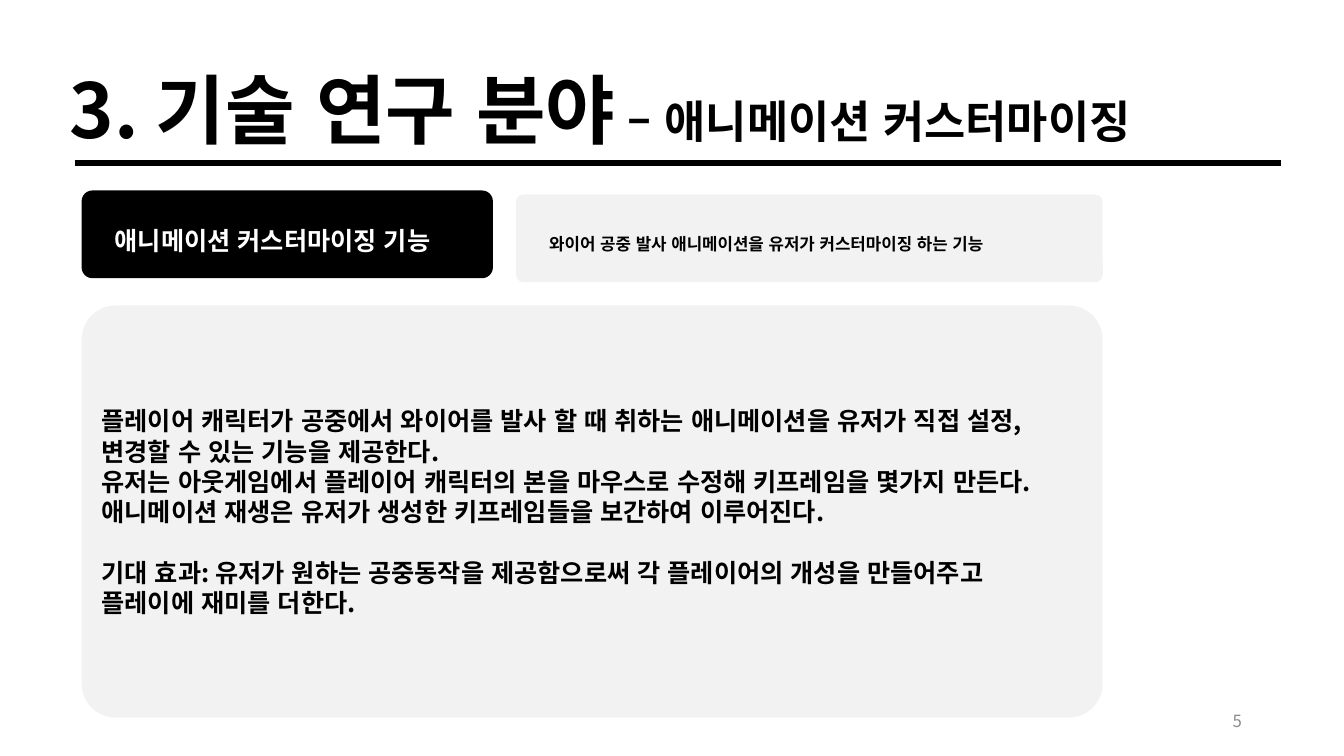
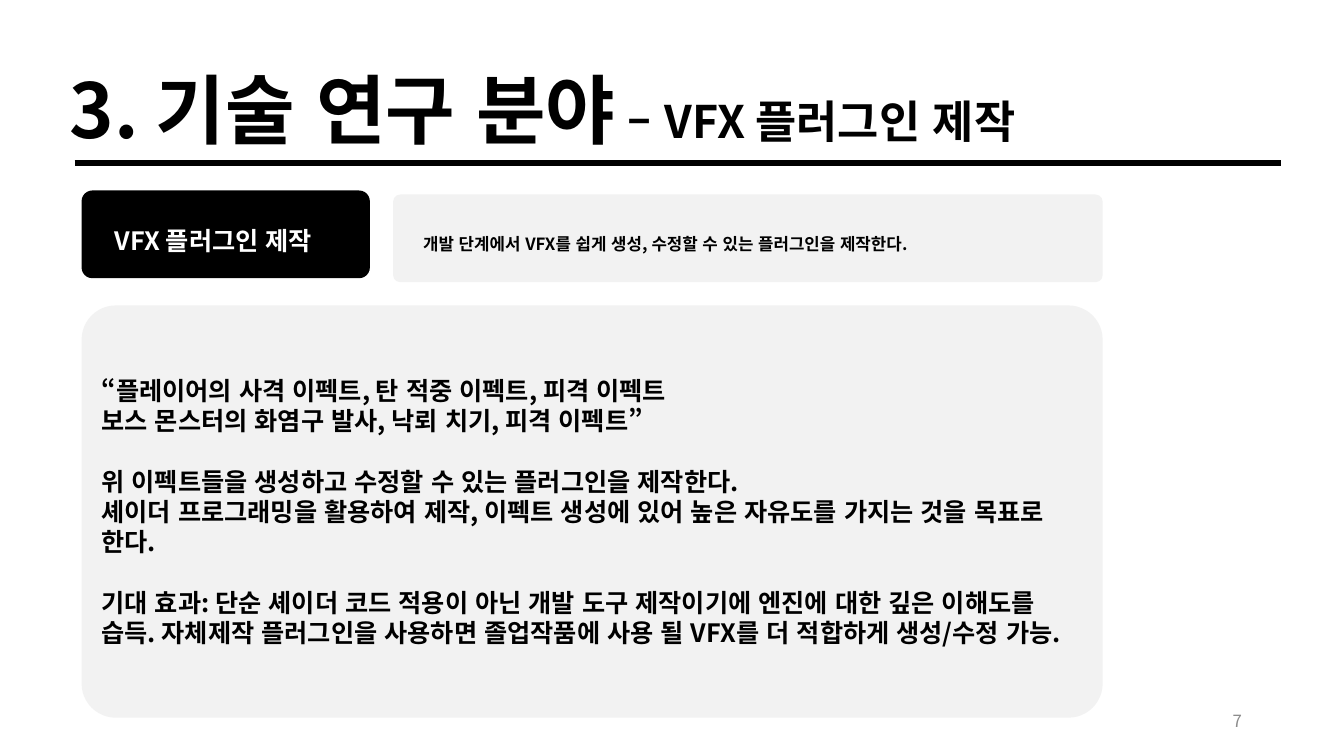
from dataclasses import dataclass

from lxml.etree import SubElement
from pptx import Presentation
from pptx.dml.color import RGBColor
from pptx.enum.lang import MSO_LANGUAGE_ID
from pptx.enum.shapes import MSO_CONNECTOR, MSO_SHAPE
from pptx.enum.text import MSO_ANCHOR, PP_ALIGN
from pptx.oxml.ns import qn
from pptx.util import Pt

PX = 9144  # EMU, 100 px to the inch
FONT = "Noto Sans CJK KR"
COLORS = {
    "ink": "000000",
    "paper": "FFFFFF",
    "panel": "F2F2F2",
    "number": "8C8C8C",
}
SECTION = "3. 기술 연구 분야"
LEFT, RIGHT = 81, 1094
GAP = 23
BAR_HEIGHT = 87
GROUP_GAP = Pt(21.6)


@dataclass(frozen=True)
class Topic:
    title: str
    label: str
    label_width: int
    summary: str
    summary_indent: int
    groups: tuple[tuple[str, ...], ...]
    number: int


TOPICS = (
    Topic(
        title="애니메이션 커스터마이징",
        label="애니메이션 커스터마이징 기능",
        label_width=408,
        summary="와이어 공중 발사 애니메이션을 유저가 커스터마이징 하는 기능",
        summary_indent=23,
        groups=(
            (
                "플레이어 캐릭터가 공중에서 와이어를 발사 할 때 취하는 애니메이션을 "
                "유저가 직접 설정, 변경할 수 있는 기능을 제공한다.",
                "유저는 아웃게임에서 플레이어 캐릭터의 본을 마우스로 수정해 "
                "키프레임을 몇가지 만든다.",
                "애니메이션 재생은 유저가 생성한 키프레임들을 보간하여 이루어진다.",
            ),
            (
                "기대 효과: 유저가 원하는 공중동작을 제공함으로써 각 플레이어의 "
                "개성을 만들어주고 플레이에 재미를 더한다.",
            ),
        ),
        number=5,
    ),
    Topic(
        title="VFX 플러그인 제작",
        label="VFX 플러그인 제작",
        label_width=286,
        summary="개발 단계에서 VFX를 쉽게 생성, 수정할 수 있는 플러그인을 제작한다.",
        summary_indent=20,
        groups=(
            (
                "“플레이어의 사격 이펙트, 탄 적중 이펙트, 피격 이펙트",
                "보스 몬스터의 화염구 발사, 낙뢰 치기, 피격 이펙트”",
            ),
            (
                "위 이펙트들을 생성하고 수정할 수 있는 플러그인을 제작한다.",
                "셰이더 프로그래밍을 활용하여 제작, 이펙트 생성에 있어 높은 자유도를 "
                "가지는 것을 목표로 한다.",
            ),
            (
                "기대 효과: 단순 셰이더 코드 적용이 아닌 개발 도구 제작이기에 엔진에 "
                "대한 깊은 이해도를 습득. 자체제작 플러그인을 사용하면 졸업작품에 "
                "사용 될 VFX를 더 적합하게 생성/수정 가능.",
            ),
        ),
        number=7,
    ),
)


def rgb(name: str) -> RGBColor:
    return RGBColor.from_string(COLORS[name])


def style(r, size: int, color: str = "ink", bold: bool = True) -> None:
    r.font.size = Pt(size)
    r.font.bold = bold
    r.font.color.rgb = rgb(color)
    r.font.name = FONT
    r.font.language_id = MSO_LANGUAGE_ID.KOREAN
    SubElement(r.font._element, qn("a:ea"), typeface=FONT)


def add_text(s, x: int, y: int, w: int, h: int, parts: tuple[tuple[str, int], ...],
             spacing: float = 1.0, color: str = "ink", bold: bool = True):
    """Add a one-paragraph text box; each part is a text and its size."""
    tf = s.shapes.add_textbox(x * PX, y * PX, w * PX, h * PX).text_frame
    tf.word_wrap = True
    p = tf.paragraphs[0]
    p.line_spacing = spacing
    for text, size in parts:
        r = p.add_run()
        r.text = text
        style(r, size, color, bold)
    return tf


def add_panel(s, x: int, y: int, w: int, h: int, color: str, corner: float = 0.083):
    sp = s.shapes.add_shape(MSO_SHAPE.ROUNDED_RECTANGLE, x * PX, y * PX, w * PX, h * PX)
    sp.adjustments[0] = corner
    sp.shadow.inherit = False
    sp.fill.solid()
    sp.fill.fore_color.rgb = rgb(color)
    sp.line.fill.background()
    return sp


def add_header(s, title: str) -> None:
    add_text(s, 59, 31, 1182, 115, ((SECTION, 54), (f" – {title}", 32)), spacing=1.3)
    rule = s.shapes.add_connector(MSO_CONNECTOR.STRAIGHT, 74 * PX, 162 * PX, 1271 * PX, 162 * PX)
    rule.line.color.rgb = rgb("ink")
    rule.line.width = Pt(4)
    SubElement(rule._element.spPr, qn("a:effectLst"))


def add_body(s, groups: tuple[tuple[str, ...], ...]) -> None:
    tf = add_panel(s, LEFT, 303, RIGHT - LEFT, 409, "panel").text_frame
    tf.word_wrap = True
    tf.vertical_anchor = MSO_ANCHOR.MIDDLE
    tf.text = "\n".join(line for group in groups for line in group)
    starts = {group[0] for group in groups[1:]}
    for p in tf.paragraphs:
        p.alignment = PP_ALIGN.LEFT
        if p.text in starts:
            p.space_before = GROUP_GAP
        style(p.runs[0], 18)


def add_bars(s, topic: Topic) -> None:
    add_panel(s, LEFT, 189, topic.label_width, BAR_HEIGHT, "ink", corner=0.122)
    add_text(s, LEFT + GAP, 189, 408, 61, ((topic.label, 18),), spacing=2.0, color="paper")
    x = LEFT + topic.label_width + GAP
    add_panel(s, x, 193, RIGHT - x, BAR_HEIGHT, "panel")
    x += topic.summary_indent
    add_text(s, x, 207, RIGHT - x, 44, ((topic.summary, 12),), spacing=2.0)


def add_number(s, number: int) -> None:
    tf = add_text(s, 942, 695, 300, 40, ((str(number), 12),), color="number", bold=False)
    tf.vertical_anchor = MSO_ANCHOR.MIDDLE
    tf.paragraphs[0].alignment = PP_ALIGN.RIGHT


def main() -> None:
    prs = Presentation()
    prs.slide_width, prs.slide_height = 12192000, 750 * PX
    for topic in TOPICS:
        s = prs.slides.add_slide(prs.slide_layouts[6])
        add_header(s, topic.title)
        add_body(s, topic.groups)
        add_bars(s, topic)
        add_number(s, topic.number)
    prs.save("out.pptx")


if __name__ == "__main__":
    main()
